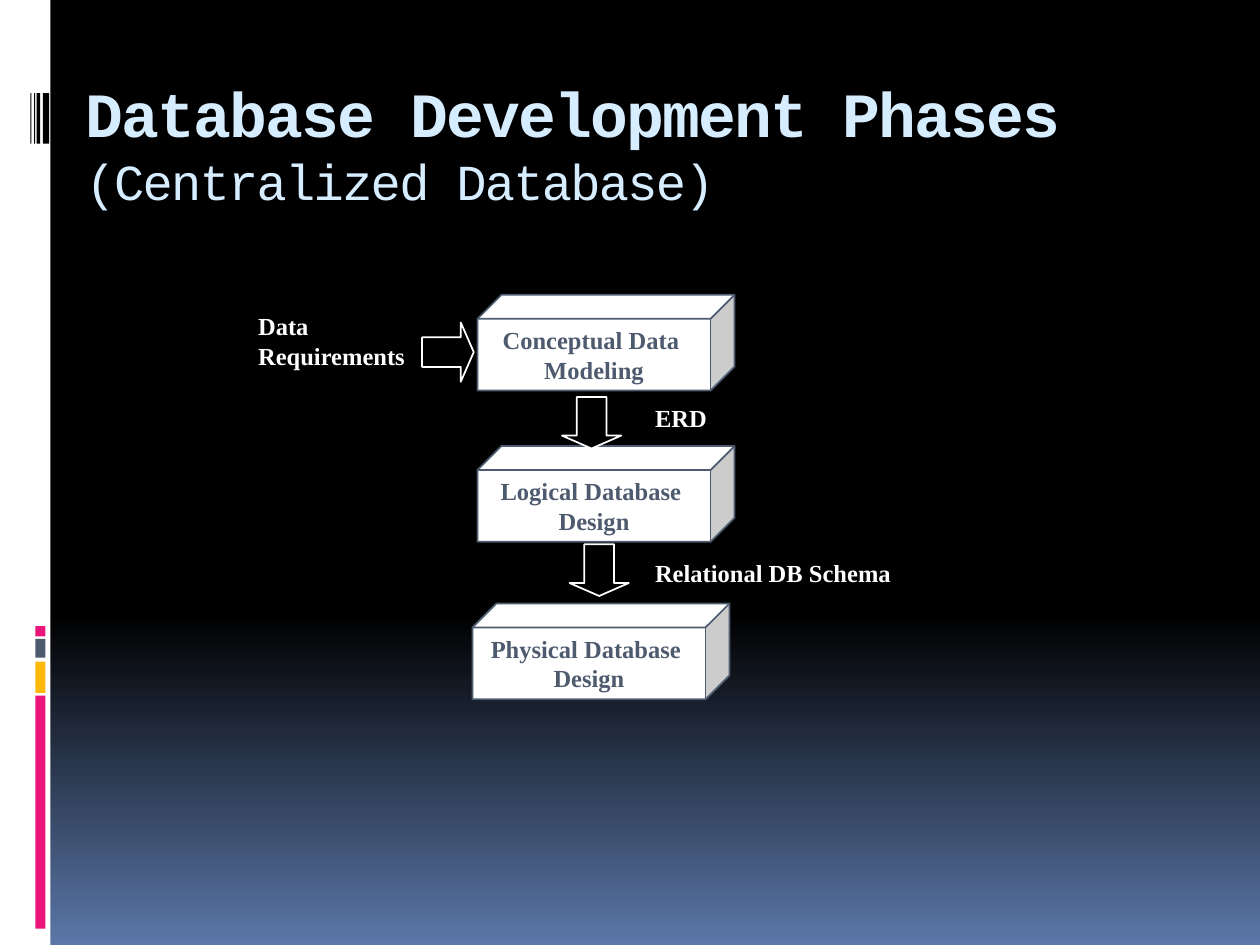
from pptx import Presentation
from pptx.dml.color import RGBColor
from pptx.enum.shapes import MSO_SHAPE
from pptx.enum.text import MSO_ANCHOR, PP_ALIGN
from pptx.util import Inches, Pt

COLORS = {"black": "000000", "white": "FFFFFF", "slate": "4E5B6F", "pink": "EA157A",
          "amber": "FEB80A", "sky": "D6ECFF", "blue": "5B77A8"}

BARS = [
    (0, 0, 0.4, 7.5, "white"),
    (0.28, 5.52, 0.08, 1.85, "pink"),
    (0.28, 5.25, 0.08, 0.25, "amber"),
    (0.28, 5.07, 0.08, 0.15, "slate"),
    (0.28, 4.97, 0.08, 0.08, "pink"),
    (0.34, 0.74, 0.05, 0.4, "black"),
    (0.29, 0.74, 0.03, 0.4, "black"),
    (0.27, 0.74, 0.01, 0.4, "black"),
    (0.24, 0.74, 0.01, 0.4, "black"),
]
TITLE = [("Database Development Phases", 36, True), ("(Centralized Database)", 28.8, False)]
PHASES = [
    (3.79, 2.34, "Conceptual Data \nModeling"),
    (3.79, 3.54, "Logical Database \nDesign"),
    (3.75, 4.79, "Physical Database \nDesign"),
]
ARROWS = [(4.49, 3.12, 90), (4.55, 4.29, 90), (3.35, 2.56, 0)]
LABELS = [
    (5.1, 3.15, 0.82, 0.33, "ERD"),
    (5.1, 4.38, 2.31, 0.34, "Relational DB Schema"),
    (1.95, 2.42, 1.38, 0.57, "Data Requirements"),
]


def rgb(name):
    return RGBColor.from_string(COLORS[name])


def add_box(s, kind, box, fill, line=None):
    sp = s.shapes.add_shape(kind, *[Inches(v) for v in box])
    sp.shadow.inherit = False
    sp.fill.solid()
    sp.fill.fore_color.rgb = rgb(fill)
    if line:
        sp.line.color.rgb = rgb(line)
        sp.line.width = Pt(1)
    else:
        sp.line.fill.background()
    return sp


def style_run(r, font, size, color, bold):
    r.font.name = font
    r.font.size = Pt(size)
    r.font.color.rgb = rgb(color)
    r.font.bold = bold


def write(sp, text, color, align, anchor, wrap):
    tf = sp.text_frame
    tf.text = text
    tf.word_wrap = wrap
    tf.vertical_anchor = anchor
    for p in tf.paragraphs:
        p.alignment = align
        for r in p.runs:
            style_run(r, "Times New Roman", 14, color, True)


prs = Presentation()
prs.slide_width, prs.slide_height = Inches(10), Inches(7.5)
s = prs.slides.add_slide(prs.slide_layouts[5])

bg = s.background.fill
bg.gradient()
bg.gradient_angle = 270
for stop, (position, color) in zip(bg.gradient_stops, [(0.65, "black"), (1, "blue")]):
    stop.position = position
    stop.color.rgb = rgb(color)

for *box, color in BARS:
    add_box(s, MSO_SHAPE.RECTANGLE, box, color)

title = s.shapes.title
title.left, title.top, title.width, title.height = [Inches(v) for v in (0.58, 0.5, 8.84, 1.25)]
tf = title.text_frame
tf.text = "\v".join(text for text, _, _ in TITLE)
tf.word_wrap = True
tf.vertical_anchor = MSO_ANCHOR.BOTTOM
tf.margin_bottom = Inches(0.08)
p = tf.paragraphs[0]
p.alignment = PP_ALIGN.LEFT
for r, (_, size, bold) in zip(p.runs, TITLE):
    style_run(r, "Courier New", size, "sky", bold)
    r.font._element.set("spc", "-100")

for x, y, text in PHASES:
    sp = add_box(s, MSO_SHAPE.CUBE, (x, y, 2.04, 0.76), "white", "slate")
    write(sp, text, "slate", PP_ALIGN.CENTER, MSO_ANCHOR.MIDDLE, False)

for x, y, rotation in ARROWS:
    sp = add_box(s, MSO_SHAPE.RIGHT_ARROW, (x, y, 0.41, 0.47), "black", "white")
    sp.adjustments[0], sp.adjustments[1] = 0.5, 0.25
    sp.rotation = rotation

for *box, text in LABELS:
    sp = add_box(s, MSO_SHAPE.RECTANGLE, box, "black")
    write(sp, text, "white", PP_ALIGN.LEFT, MSO_ANCHOR.TOP, True)

prs.save("out.pptx")
